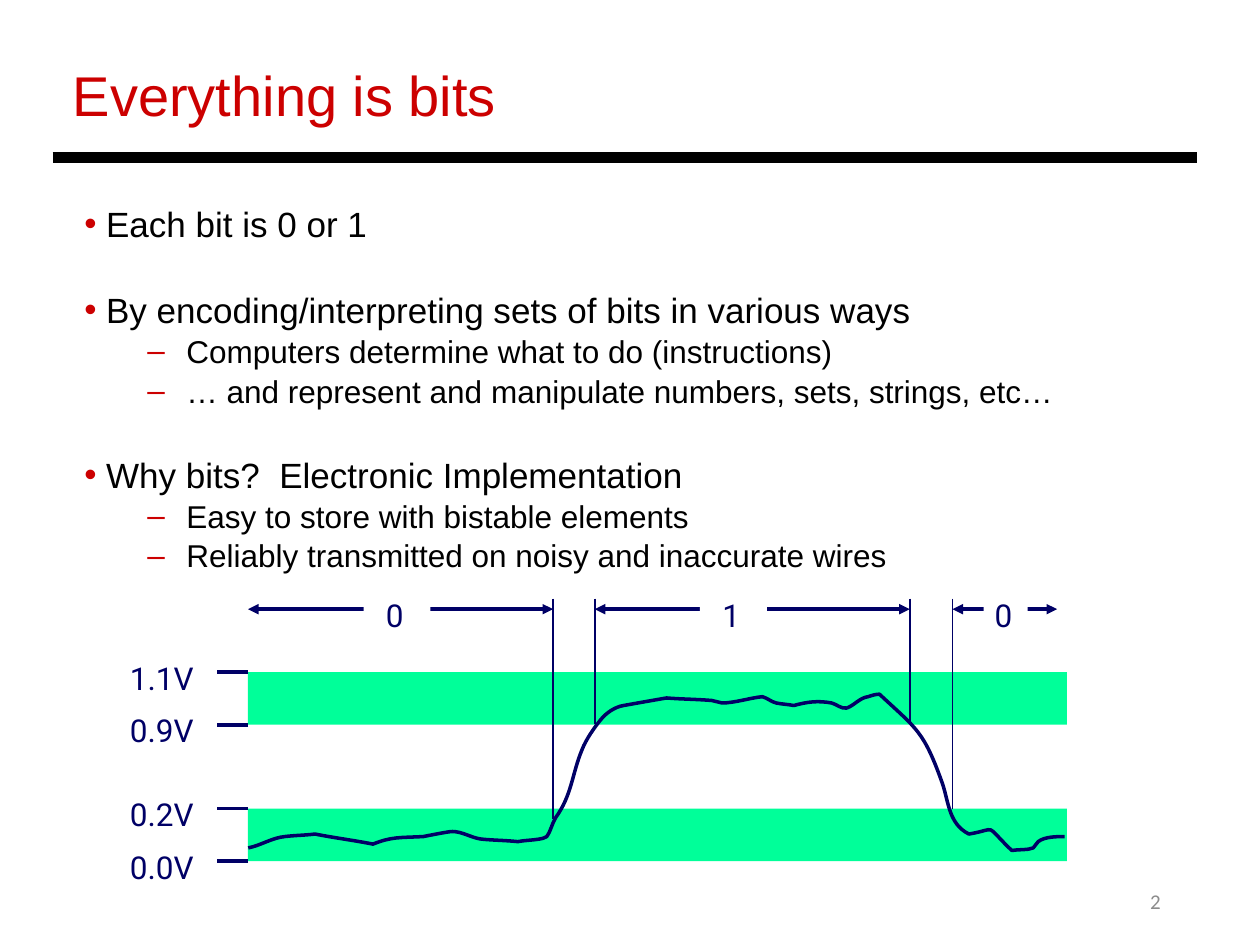
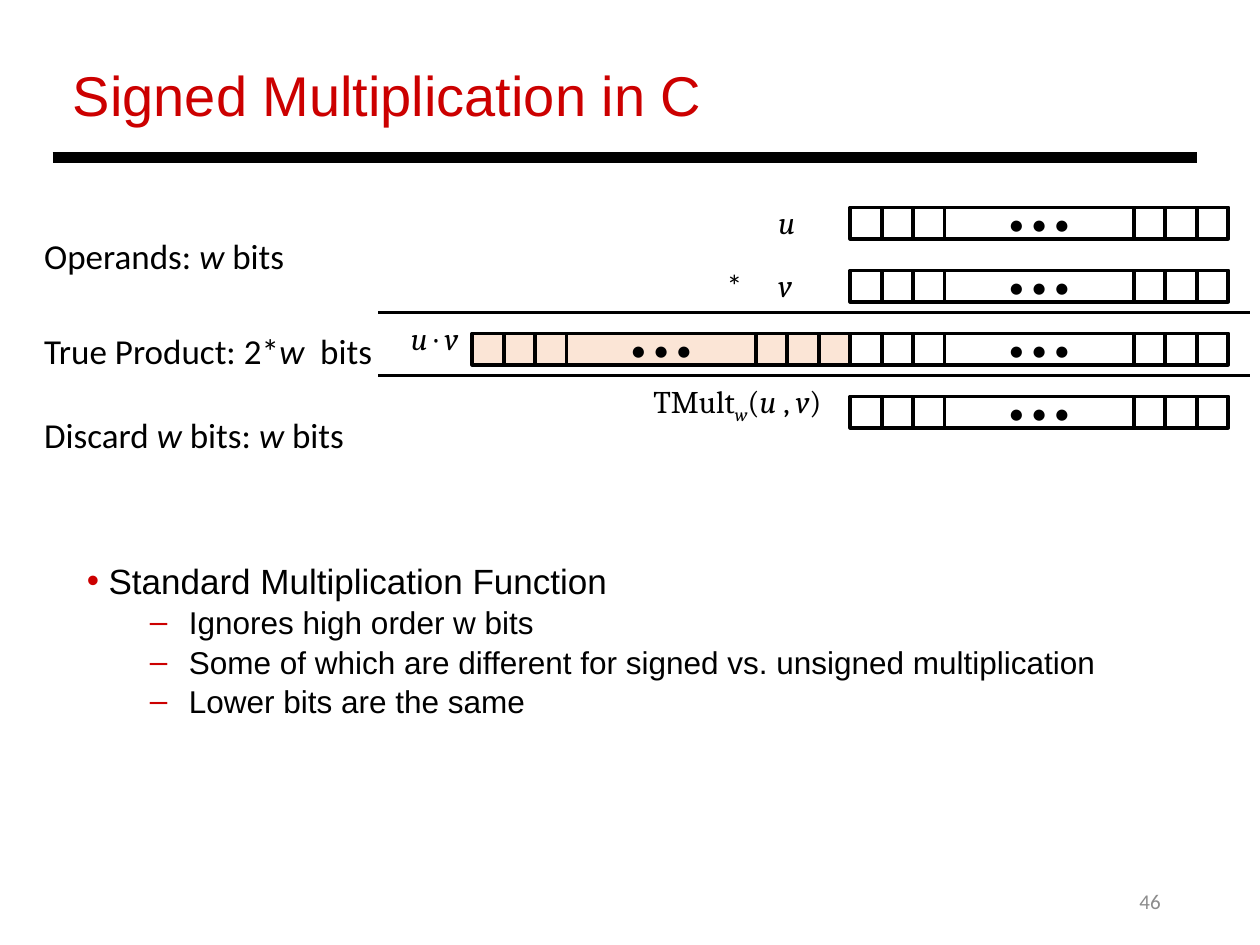
from lxml import etree
from pptx import Presentation
from pptx import util as u
from pptx.dml.color import RGBColor
from pptx.enum import shapes, text
from pptx.oxml.ns import qn

COLORS = {
    "red": "CC0000", "black": "000000", "gray": "8C8C8C", "white": "FFFFFF",
    "navy": "000066", "green": "00FF99", "peach": "FBE5D6",
}
STYLES = {  # font, size, colour
    "title": ("Arial", 32, "red"),
    "bullet": ("Arial", 20, "black"),
    "number": ("Calibri", 12, "gray"),
    "signal": ("Roboto", 18, "navy"),
    "note": ("Calibri", 20, "black"),
    "dots": ("Calibri", 18, "black"),
    "math": ("Cambria", 18, "black"),
}
BULLETS = [  # per level: sign, left margin, indent, size, space before
    ("•", 0.44, -0.44, 20, 25),
    ("–", 2.06, -0.79, 18, 1),
]
SIGNAL_FRAME = {
    "margin_left": u.Cm(0.16), "margin_top": u.Cm(0.16),
    "margin_right": u.Cm(0.25), "margin_bottom": u.Cm(0.16),
}
MIDDLE = {"vertical_anchor": text.MSO_ANCHOR.MIDDLE}
CENTER, RIGHT = text.PP_ALIGN.CENTER, text.PP_ALIGN.RIGHT
FIT, FIXED = text.MSO_AUTO_SIZE.SHAPE_TO_FIT_TEXT, text.MSO_AUTO_SIZE.NONE


def block(slide, at, lines=(), style="note", fill=None, outline=None,
          align=None, frame_format=None):
    """Text box, or rectangle if filled; _underscores_ mark italic runs."""
    place = [u.Cm(length) for length in at]
    if fill:
        box = slide.shapes.add_shape(shapes.MSO_SHAPE.RECTANGLE, *place)
        box.shadow.inherit = False
        box.fill.solid()
        box.fill.fore_color.rgb = RGBColor.from_string(COLORS[fill])
        if outline:
            box.line.color.rgb = RGBColor.from_string(COLORS[outline])
            box.line.width = u.Pt(2)
        else:
            box.line.fill.background()
    else:
        box = slide.shapes.add_textbox(*place)
    frame = box.text_frame
    settings = {"word_wrap": False, "vertical_anchor": text.MSO_ANCHOR.TOP,
                "auto_size": FIXED if fill else FIT}
    for name, value in {**settings, **(frame_format or {})}.items():
        setattr(frame, name, value)
    font_name, size, color = STYLES[style]
    for index, line in enumerate(lines):
        paragraph = frame.add_paragraph() if index else frame.paragraphs[0]
        paragraph.alignment = align
        for part, words in enumerate(line.split("_")):
            if not words:
                continue
            run = paragraph.add_run()
            run.text = words
            font_format = {"name": font_name, "size": u.Pt(size), "italic": part % 2 == 1}
            for name, value in font_format.items():
                setattr(run.font, name, value)
            run.font.color.rgb = RGBColor.from_string(COLORS[color])
    return box


def stroke(slide, x1, y1, x2, y2, color, width, arrows=False):
    """Straight line, with a triangle at both ends if arrows is set."""
    connector = slide.shapes.add_connector(
        shapes.MSO_CONNECTOR.STRAIGHT, *(u.Cm(end) for end in (x1, y1, x2, y2)))
    connector.line.color.rgb = RGBColor.from_string(COLORS[color])
    connector.line.width = u.Pt(width)
    if arrows:
        for end in ("a:headEnd", "a:tailEnd"):
            etree.SubElement(connector.line._get_or_add_ln(), qn(end), type="triangle")
    etree.SubElement(connector._element.spPr, qn("a:effectLst"))


prs = Presentation()
prs.slide_width, prs.slide_height = u.Cm(25.4), u.Cm(19.05)

# Title and its width, number, bullets and their place
PAGES = [
    ("Everything is bits", 9.12, "2", (1.45, 3.96, 22.78, 7.62), [
        (0, "Each bit is 0 or 1"),
        (0, "By encoding/interpreting sets of bits in various ways"),
        (1, "Computers determine what to do (instructions)"),
        (1, "… and represent and manipulate numbers, sets, strings, etc…"),
        (0, "Why bits?  Electronic Implementation"),
        (1, "Easy to store with bistable elements"),
        (1, "Reliably transmitted on noisy and inaccurate wires"),
    ]),
    ("Signed Multiplication in C", 13.31, "46", (1.5, 11.15, 22.78, 3.43), [
        (0, "Standard Multiplication Function"),
        (1, "Ignores high order w bits"),
        (1, "Some of which are different for signed vs. unsigned multiplication"),
        (1, "Lower bits are the same"),
    ]),
]
pages = []
for title, title_width, number, body_at, points in PAGES:
    page = prs.slides.add_slide(prs.slide_layouts[6])
    pages.append(page)
    block(page, (17.93, 17.65, 5.72, 1.02), [number], "number", align=RIGHT,
          frame_format={**MIDDLE, "word_wrap": True, "auto_size": FIXED})
    block(page, (1.22, 1.09, title_width, 1.63), [title], "title")
    stroke(page, 1.06, 3.18, 24.13, 3.18, "black", 6)
    body = block(page, body_at, [words for _, words in points], "bullet",
                 frame_format={"word_wrap": True})
    for index, (level, _) in enumerate(points):
        sign, margin, indent, size, gap = BULLETS[level]
        paragraph = body.text_frame.paragraphs[index]
        paragraph.level = level
        props = paragraph._p.get_or_add_pPr()
        props.set("marL", str(u.Cm(margin)))
        props.set("indent", str(u.Cm(indent)))
        sign_color = etree.SubElement(props, qn("a:buClr"))
        etree.SubElement(sign_color, qn("a:srgbClr"), val=COLORS["red"])
        etree.SubElement(props, qn("a:buFont"), typeface="Arial")
        etree.SubElement(props, qn("a:buChar"), char=sign)
        if index:
            paragraph.space_before = u.Pt(gap)
        for run in paragraph.runs:
            run.font.size = u.Pt(size)
bits, product = pages

# Voltage bands and the signal that runs through them
AXIS = 5.0
VOLTAGES = [("1.1V", 13.55), ("0.9V", 14.61), ("0.2V", 16.3), ("0.0V", 17.36)]
for top in (16.3, 13.55):
    block(bits, (AXIS, top, 16.51, 1.06), fill="green")

# Signal in hundredths of an inch: each row has two control points and an end
SIGNAL_START = (197, 673)
SIGNAL_CURVES = [
    (207, 671, 216, 665, 226, 664), (234, 663, 242, 663, 250, 662),
    (265, 665, 281, 667, 296, 670), (311, 664, 317, 665, 336, 664),
    (341, 663, 356, 660, 359, 660), (367, 660, 374, 665, 382, 666),
    (392, 667, 401, 667, 411, 668), (416, 667, 422, 667, 428, 666),
    (430, 666, 432, 665, 434, 664), (437, 660, 438, 654, 441, 649),
    (454, 631, 454, 614, 462, 595), (465, 587, 472, 577, 477, 571),
    (481, 566, 488, 561, 495, 560), (506, 558, 529, 554, 529, 554),
    (541, 555, 553, 555, 565, 556), (568, 556, 570, 558, 573, 558),
    (583, 558, 595, 554, 605, 553), (609, 554, 612, 557, 616, 558),
    (621, 559, 625, 559, 630, 560), (641, 557, 649, 556, 660, 558),
    (664, 559, 668, 563, 672, 562), (678, 560, 682, 554, 689, 553),
    (692, 552, 695, 551, 698, 551), (728, 579, 733, 580, 748, 622),
    (753, 637, 753, 654, 769, 662), (793, 658, 780, 653, 803, 675),
    (809, 674, 815, 675, 820, 673), (822, 672, 822, 669, 824, 668),
    (829, 664, 839, 664, 845, 664),
]
ends = [curve[4:] for curve in SIGNAL_CURVES]
builder = bits.shapes.build_freeform(*SIGNAL_START, scale=u.Cm(0.0254))
builder.add_line_segments(ends, close=False)
signal = builder.convert_to_shape()
signal.shadow.inherit = False
signal.fill.background()
signal.line.color.rgb = RGBColor.from_string(COLORS["navy"])
signal.line.width = u.Pt(2)

# Bend each straight segment with its two control points
left_end = min(x for x, _ in [SIGNAL_START, *ends])
top_end = min(y for _, y in [SIGNAL_START, *ends])
segments = list(signal._element.iter(qn("a:lnTo")))
for segment, (x1, y1, x2, y2, _, _) in zip(segments, SIGNAL_CURVES):
    segment.tag = qn("a:cubicBezTo")
    for position, (x, y) in enumerate(((x1, y1), (x2, y2))):
        control = etree.Element(qn("a:pt"), x=str(x - left_end), y=str(y - top_end))
        segment.insert(position, control)

for voltage, y in VOLTAGES:
    stroke(bits, AXIS, y, AXIS - 0.63, y, "navy", 2)
    block(bits, (2.46, y - 0.43, 1.75, 1.04), [voltage], "signal", frame_format=SIGNAL_FRAME)

# Bit periods: span arrows, limits, values
for start, end in ((AXIS, 11.15), (11.99, 18.34), (19.2, 21.31)):
    stroke(bits, start, 12.28, end, 12.28, "navy", 2, arrows=True)
for x, bottom in ((11.15, 16.51), (11.99, 14.6), (18.34, 14.6), (19.2, 16.3)):
    stroke(bits, x, 12.07, x, bottom, "navy", 1)
for bit, left, width in (("0", 7.33, 1.35), ("1", 14.11, 1.35), ("0", 19.83, 0.89)):
    block(bits, (left, 11.85, width, 1.07), [bit], "signal", fill="white", align=CENTER,
          frame_format={**SIGNAL_FRAME, "word_wrap": True})

# Words of w bits: three cells, a wide gap of six, three cells
CELL, GAP_CELLS, ROW_STEP = 0.635, 6, 1.27
FIRST_ROW, LOW, HIGH = 4.18, 17.14, 9.52
WORDS = [(LOW, row, "white") for row in range(4)] + [(HIGH, 2, "peach")]
for left, row, fill in WORDS:
    top = FIRST_ROW + row * ROW_STEP
    for column in (0, 1, 2, 9, 10, 11):
        block(product, (left + column * CELL, top, CELL, CELL), fill=fill, outline="black")
    block(product, (left + 3 * CELL, top, GAP_CELLS * CELL, CELL), ["• • •"], "dots",
          fill=fill, outline="black", align=CENTER, frame_format=MIDDLE)
for y in (6.3, 7.57):
    stroke(product, 7.62, y, 25.2, y, "black", 2)

# Names of the words and notes on the steps
block(product, (15.44, 3.96, 0.84, 1.02), ["_u_"], "math")
block(product, (15.44, 5.23, 0.79, 1.02), ["_v_"], "math")
block(product, (14.4, 5.23, 0.89, 1.02), ["*"], "dots")
block(product, (7.92, 6.3, 1.57, 1.02), ["_u _· _v_"], "math", align=RIGHT)
truncated = block(product, (12.9, 7.57, 3.91, 1.02), ["TMult_w_(_u_ , _v_)"], "math",
                  align=RIGHT)
subscript = truncated.text_frame.paragraphs[0].runs[1]
subscript._r.get_or_add_rPr().set("baseline", "-25000")
for note, top, width in (("Operands: _w_ bits", 4.6, 5.41),
                         ("True Product: 2*_w_  bits", 6.51, 7.19),
                         ("Discard _w_ bits: _w_ bits", 8.21, 6.78)):
    block(product, (0.64, top, width, 1.12), [note], "note")

prs.save("out.pptx")
